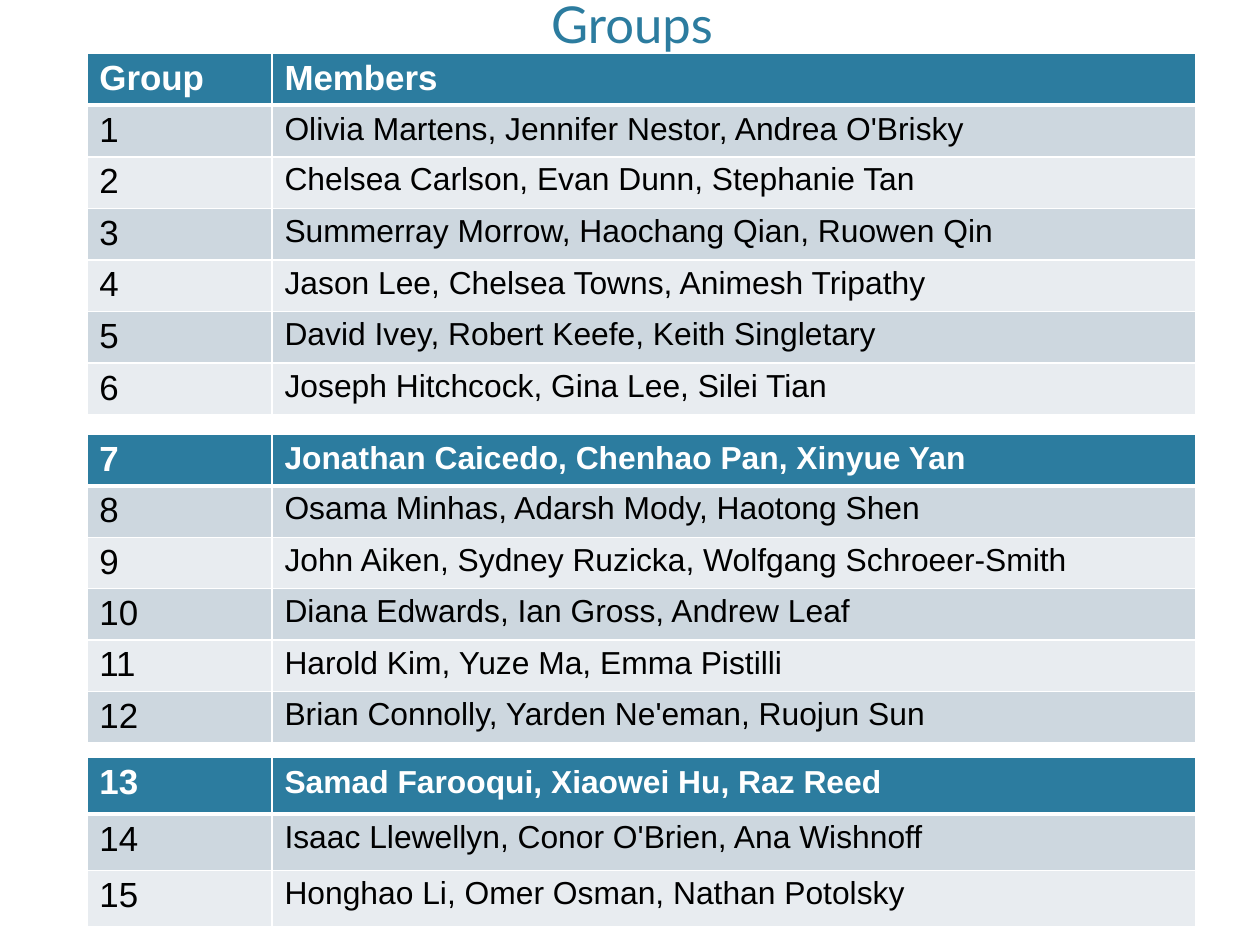
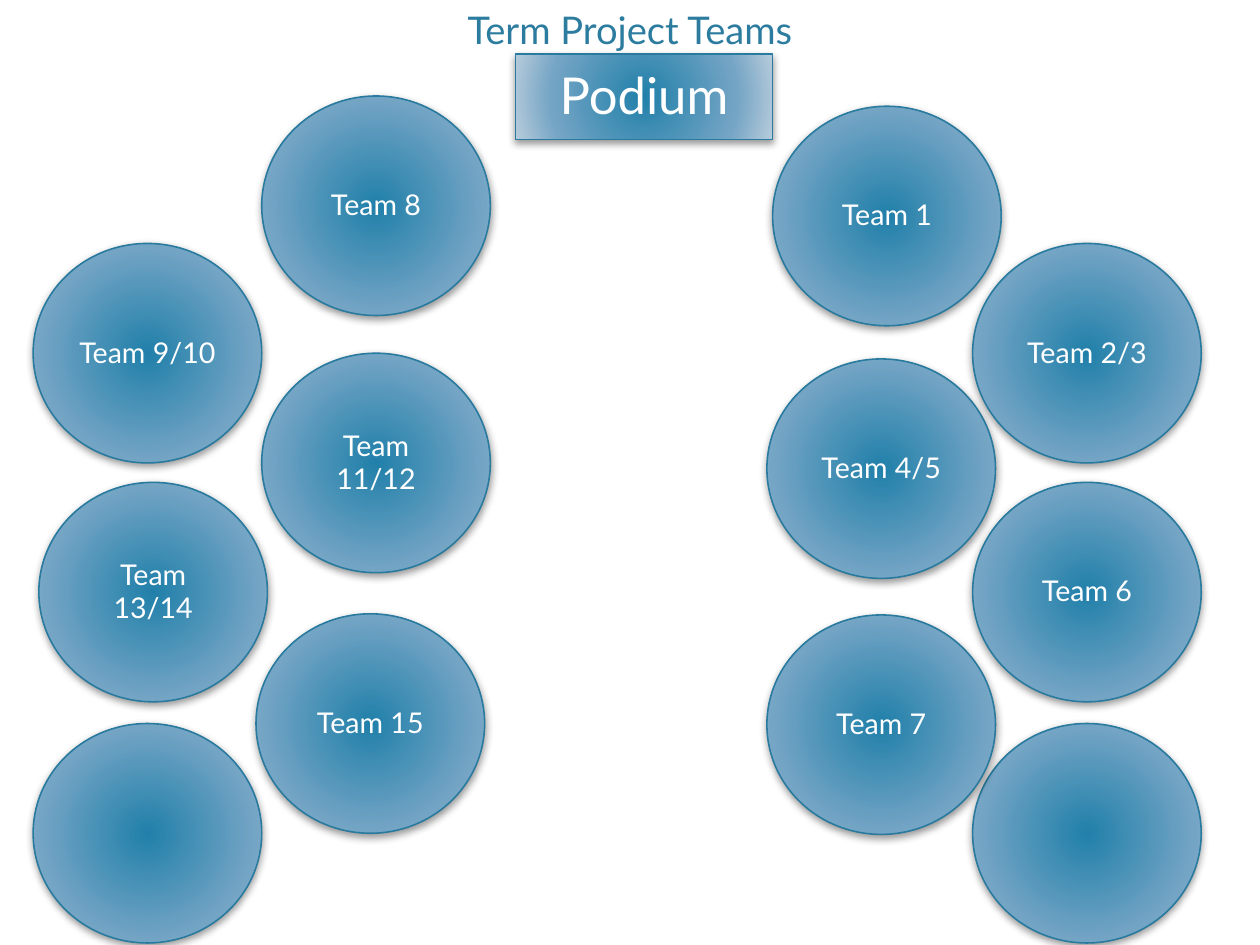
from dataclasses import dataclass
from pptx import Presentation
from pptx.dml.color import RGBColor
from pptx.enum.shapes import MSO_SHAPE
from pptx.enum.text import MSO_ANCHOR, PP_ALIGN
from pptx.oxml import parse_xml
from pptx.oxml.ns import nsdecls
from pptx.util import Inches, Pt

# Content: page of 28 by 21 cm
PAGE = (28 / 2.54, 21 / 2.54)

# Content: tables as (top, height, rows)
TABLES = [
    (0.47, 3.16, [
        ("Group", "Members"),
        ("1", "Olivia Martens, Jennifer Nestor, Andrea O'Brisky"),
        ("2", "Chelsea Carlson, Evan Dunn, Stephanie Tan"),
        ("3", "Summerray Morrow, Haochang Qian, Ruowen Qin"),
        ("4", "Jason Lee, Chelsea Towns, Animesh Tripathy"),
        ("5", "David Ivey, Robert Keefe, Keith Singletary"),
        ("6", "Joseph Hitchcock, Gina Lee, Silei Tian"),
    ]),
    (3.8, 2.7, [
        ("7", "Jonathan Caicedo, Chenhao Pan, Xinyue Yan"),
        ("8", "Osama Minhas, Adarsh Mody, Haotong Shen"),
        ("9", "John Aiken, Sydney Ruzicka, Wolfgang Schroeer-Smith"),
        ("10", "Diana Edwards, Ian Gross, Andrew Leaf"),
        ("11", "Harold Kim, Yuze Ma, Emma Pistilli"),
        ("12", "Brian Connolly, Yarden Ne'eman, Ruojun Sun"),
    ]),
    (6.63, 1.48, [
        ("13", "Samad Farooqui, Xiaowei Hu, Raz Reed"),
        ("14", "Isaac Llewellyn, Conor O'Brien, Ana Wishnoff"),
        ("15", "Honghao Li, Omer Osman, Nathan Potolsky"),
    ]),
]
TABLE_LEFT = 0.76
COLS = (1.62, 8.08)
LOOSE = ("1", "7", "13")  # groups whose names are set at full line height

# Content: seats as (left, top, label), back to front
SEAT = (2, 1.92)
SEATS = [
    (2.29, 0.84, "Team 8"), (0.29, 2.13, "Team 9/10"),
    (8.51, 6.33, ""), (6.71, 5.38, "Team 7"),
    (8.51, 4.22, "Team 6"), (6.71, 3.14, "Team 4/5"),
    (8.51, 2.13, "Team 2/3"), (6.76, 0.93, "Team 1"),
    (2.29, 3.09, "Team 11/12"), (0.34, 4.22, "Team 13/14"),
    (2.24, 5.37, "Team 15"), (0.29, 6.33, ""),
]
PODIUM = (4.51, 0.47, 2.25, 0.75)


@dataclass(frozen=True)
class Theme:
    head: str = "2C7C9F"
    bands: tuple = ("CDD7DF", "E8ECF0")
    white: str = "FFFFFF"
    black: str = "000000"
    edge: str = "287A9E"
    glow: tuple = ((0, "2180AA"), (69, "75A5C5"), (100, "B8CCDC"))
    sans: str = "Lato"
    body: str = "Arial"
    big: int = 32
    mid: int = 24
    key: int = 22
    names: int = 20
    label: int = 18
    lead: float = 0.96


T = Theme()


# Shared helpers
def write(frame, text, size, font, color, bold=False, align=None, lead=T.lead):
    par = frame.paragraphs[0]
    par.alignment = align
    par.line_spacing = lead
    run = par.add_run()
    run.text = text
    run.font.size = Pt(size)
    run.font.name = font
    run.font.bold = bold
    run.font.color.rgb = RGBColor.from_string(color)


def pad(box):
    box.margin_left = box.margin_right = Inches(0.11)
    box.margin_top = Inches(0.06)
    box.margin_bottom = Inches(0.05)


def start(deck, text, size, place):
    slide = deck.slides.add_slide(deck.slide_layouts[5])
    title = slide.shapes.title
    title.left, title.top, title.width, title.height = map(Inches, place)
    frame = title.text_frame
    frame.word_wrap = True
    frame.vertical_anchor = MSO_ANCHOR.BOTTOM
    pad(frame)
    write(frame, text, size, T.sans, T.head, align=PP_ALIGN.CENTER, lead=1.0)
    return slide


def rule(cell, low):
    props = cell._tc.get_or_add_tcPr()
    for at, (side, width) in enumerate(zip("LRTB", (1, 1, 1, low))):
        props.insert(at, parse_xml(
            f'<a:ln{side} {nsdecls("a")} w="{Pt(width)}"><a:solidFill>'
            f'<a:srgbClr val="{T.white}"/></a:solidFill></a:ln{side}>'))


def grid(slide, top, high, rows):
    table = slide.shapes.add_table(
        len(rows), len(COLS), Inches(TABLE_LEFT), Inches(top),
        Inches(sum(COLS)), Inches(high)).table
    for col, width in zip(table.columns, COLS):
        col.width = Inches(width)
    for r, texts in enumerate(rows):
        table.rows[r].height = Inches(high / len(rows))
        first = r == 0
        for c, text in enumerate(texts):
            cell = table.cell(r, c)
            pad(cell)
            cell.fill.solid()
            fill = T.head if first else T.bands[(r - 1) % 2]
            cell.fill.fore_color.rgb = RGBColor.from_string(fill)
            size = T.key if c == 0 or text == "Members" else T.names
            lead = 1.0 if c == 1 and texts[0] in LOOSE else T.lead
            write(cell.text_frame, text, size, T.body,
                  T.white if first else T.black, bold=first, lead=lead)
            rule(cell, 3 if first else 1)


def glow(slide, kind, place, text, size):
    shape = slide.shapes.add_shape(kind, *map(Inches, place))
    props = shape._element.spPr
    stops = "".join(f'<a:gs pos="{pos * 1000}"><a:srgbClr val="{color}"/></a:gs>'
                    for pos, color in T.glow)
    props.append(parse_xml(
        f'<a:gradFill {nsdecls("a")} rotWithShape="1"><a:gsLst>{stops}</a:gsLst>'
        '<a:path path="circle"><a:fillToRect l="100000" t="100000" r="100000"'
        ' b="100000"/></a:path></a:gradFill>'))
    shape.line.color.rgb = RGBColor.from_string(T.edge)
    shape.line.width = Pt(1)
    props.append(parse_xml(
        f'<a:effectLst {nsdecls("a")}><a:outerShdw blurRad="{Pt(5)}" '
        f'dist="{Pt(2)}" dir="5400000" rotWithShape="0"><a:srgbClr '
        f'val="{T.black}"><a:alpha val="40000"/></a:srgbClr></a:outerShdw>'
        '</a:effectLst>'))
    if text:
        frame = shape.text_frame
        frame.word_wrap = True
        frame.vertical_anchor = MSO_ANCHOR.MIDDLE
        write(frame, text, size, T.sans, T.white, align=PP_ALIGN.CENTER)


deck = Presentation()
deck.slide_width, deck.slide_height = map(Inches, PAGE)

# Slide 1: group lists
groups = start(deck, "Groups", T.big, (0.68, 0.02, 9.7, 0.5))
for top, high, rows in TABLES:
    grid(groups, top, high, rows)

# Slide 2: seating plan
plan = start(deck, "Term Project Teams", T.mid, (0.55, -0.87, 9.92, 1.38))
glow(plan, MSO_SHAPE.RECTANGLE, PODIUM, "Podium", T.big)
for left, top, text in SEATS:
    glow(plan, MSO_SHAPE.OVAL, (left, top, *SEAT), text, T.label)

deck.save("out.pptx")
